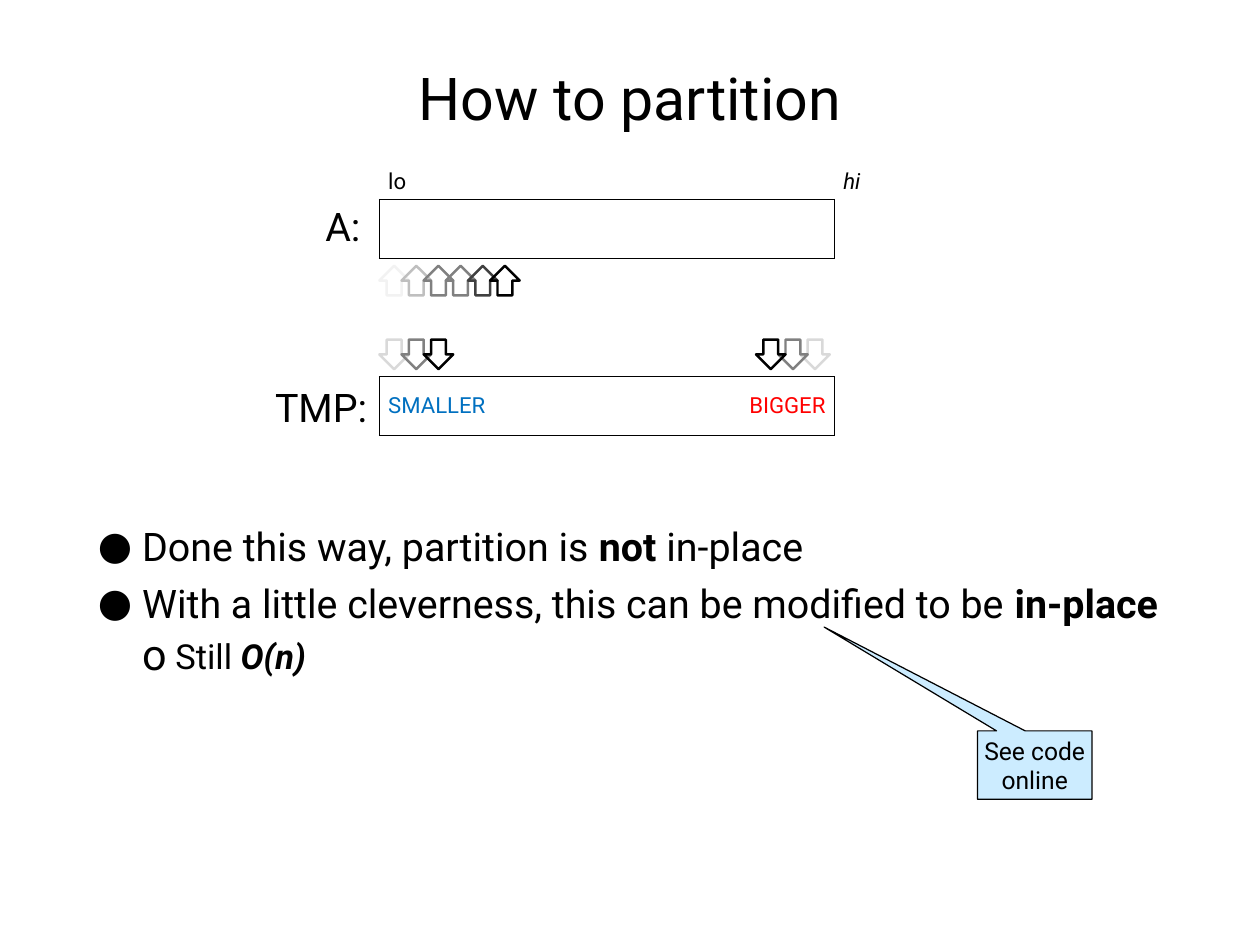
import pptx
import pptx.util
import pptx.dml.color
import pptx.enum.shapes
import pptx.enum.text
import pptx.oxml.ns
import lxml.etree

PX = 9525  # EMU in one px, 96 px to the inch
COLORS = {"black": "000000", "dark": "404040", "mid": "808080", "silver": "BFBFBF",
          "light": "D9D9D9", "pale": "F2F2F2", "blue": "0070C0", "red": "FF0000",
          "callout": "CCECFF"}
SHAPES = pptx.enum.shapes.MSO_SHAPE
ALIGN = pptx.enum.text.PP_ALIGN
ANCHOR = pptx.enum.text.MSO_ANCHOR
AUTO = pptx.enum.text.MSO_AUTO_SIZE


def rgb(name):
    return pptx.dml.color.RGBColor.from_string(COLORS[name])


def add_span(para, text, size, color="black", bold=False, italic=False):
    span = para.add_run()
    span.text = text
    span.font.name = "Roboto"
    span.font.size = pptx.util.Pt(size)
    span.font.color.rgb = rgb(color)
    span.font.bold = bold
    span.font.italic = italic


deck = pptx.Presentation()
deck.slide_width, deck.slide_height = 1365 * PX, 1024 * PX
page = deck.slides.add_slide(deck.slide_layouts[6])

# Title, array labels and the empty body box
frames = {}
for name, text, size, align, anchor, auto, place in [
    ("title", "How to partition", 48, ALIGN.CENTER, ANCHOR.MIDDLE, AUTO.NONE, (100, 27, 1165, 157)),
    ("A", "A:", 32, ALIGN.CENTER, ANCHOR.MIDDLE, AUTO.SHAPE_TO_FIT_TEXT, (339, 214, 65, 62)),
    ("TMP", "TMP:", 32, ALIGN.RIGHT, ANCHOR.MIDDLE, AUTO.SHAPE_TO_FIT_TEXT, (274, 410, 130, 62)),
    ("body", "", 32, ALIGN.LEFT, ANCHOR.TOP, AUTO.NONE, (100, 560, 1165, 300)),
]:
    box = page.shapes.add_textbox(*[length * PX for length in place])
    frame = frames[name] = box.text_frame
    frame.word_wrap = True
    frame.auto_size = auto
    frame.vertical_anchor = anchor
    frame.margin_left = frame.margin_right = frame.margin_top = frame.margin_bottom = 6 * PX
    frame.paragraphs[0].alignment = align
    if text:
        add_span(frame.paragraphs[0], text, size)

# Body bullets: indent, hang, space before, bullet, bullet size, spans
bullets = [
    (48, 48, 0, "●", 100, [("Done this way, partition is ", 32), ("not", 32, "black", True),
                           (" in-place", 32)]),
    (48, 48, 8, "●", 100, [("With a little cleverness, this can be modified to be ", 32),
                           ("in-place", 32, "black", True)]),
    (84, 36, 7, "o", 125, [("Still ", 28), ("O(n)", 28, "black", True, True)]),
]
for index, (indent, hang, before, bullet, percent, spans) in enumerate(bullets):
    para = frames["body"].add_paragraph() if index else frames["body"].paragraphs[0]
    para.level = 1 if bullet == "o" else 0
    props = para._p.get_or_add_pPr()
    props.set("marL", str(indent * PX))
    props.set("indent", str(-hang * PX))
    for tag, key, value in [("a:buSzPct", "val", str(percent * 1000)),
                            ("a:buFont", "typeface", "Roboto"), ("a:buChar", "char", bullet)]:
        lxml.etree.SubElement(props, pptx.oxml.ns.qn(tag)).set(key, value)
    para.space_before = pptx.util.Pt(before)
    for span in spans:
        add_span(para, *span)

# Pointer arrows: top, first left, step, flipped, colours
for top, left, step, flipped, shades in [
    (368, 411, 24, True, ["light", "mid", "black"]),
    (368, 867, -24, True, ["light", "mid", "black"]),
    (288, 411, 24, False, ["pale", "silver", "mid", "mid", "dark", "black"]),
]:
    for index, shade in enumerate(shades):
        arrow = page.shapes.add_shape(SHAPES.UP_ARROW, (left + index * step) * PX, top * PX,
                                      32 * PX, 32 * PX)
        arrow.shadow.inherit = False
        arrow.fill.background()
        arrow.line.color.rgb = rgb(shade)
        arrow.line.width = pptx.util.Pt(2)
        if flipped:
            arrow._element.spPr.xfrm.set("flipV", "1")

# Arrays A and TMP: top, column widths, merged, texts and ruled sides by cell
arrays = [
    (168, (248, 245, 43), True,
     {(0, 0): ("lo", "black", False, ALIGN.LEFT), (0, 2): ("hi", "black", True, ALIGN.LEFT)},
     {(0, 0): "B", (0, 1): "B", (1, 0): "LRTB", (1, 1): "RTB", (1, 2): "L"}),
    (360, (256, 237, 43), False,
     {(1, 0): ("SMALLER", "blue", False, ALIGN.LEFT),
      (1, 1): ("BIGGER", "red", False, ALIGN.RIGHT)},
     {(0, 0): "B", (0, 1): "B", (1, 0): "LTB", (1, 1): "RTB", (1, 2): "L"}),
]
for top, widths, merged, texts, ruled in arrays:
    table = page.shapes.add_table(2, 3, 411 * PX, top * PX, 536 * PX, 112 * PX).table
    table.first_row = table.horz_banding = False
    for column, width in zip(table.columns, widths):
        column.width = width * PX
    for row, height in zip(table.rows, (48, 64)):
        row.height = height * PX
    if merged:
        table.cell(1, 0).merge(table.cell(1, 1))
    for spot in [(row, column) for row in range(2) for column in range(3)]:
        cell = table.cell(*spot)
        cell.vertical_anchor = ANCHOR.MIDDLE if spot[0] else ANCHOR.BOTTOM
        props = cell._tc.get_or_add_tcPr()
        for side in "LRTB":
            edge = lxml.etree.SubElement(props, pptx.oxml.ns.qn("a:ln" + side), w="12700")
            if side in ruled.get(spot, ""):
                fill = lxml.etree.SubElement(edge, pptx.oxml.ns.qn("a:solidFill"))
                lxml.etree.SubElement(fill, pptx.oxml.ns.qn("a:srgbClr"), val=COLORS["black"])
            else:
                lxml.etree.SubElement(edge, pptx.oxml.ns.qn("a:noFill"))
        cell.fill.background()
        if spot in texts:
            text, color, italic, align = texts[spot]
            para = cell.text_frame.paragraphs[0]
            para.alignment = align
            add_span(para, text, 18, color, italic=italic)

# Callout
callout = page.shapes.add_shape(SHAPES.RECTANGULAR_CALLOUT, 1059 * PX, 792 * PX, 124 * PX, 74 * PX)
callout.adjustments[0], callout.adjustments[1] = -1.84, -2.02
callout.shadow.inherit = False
callout.fill.solid()
callout.fill.fore_color.rgb = rgb("callout")
callout.line.color.rgb = rgb("black")
callout.line.width = pptx.util.Pt(1)
frame = callout.text_frame
frame.word_wrap = False
frame.auto_size = AUTO.SHAPE_TO_FIT_TEXT
frame.vertical_anchor = ANCHOR.MIDDLE
frame.margin_left = frame.margin_right = frame.margin_top = frame.margin_bottom = 5 * PX
para = frame.paragraphs[0]
para.alignment = ALIGN.CENTER
add_span(para, "See code", 20)
para.add_line_break()
add_span(para, "online", 20)

deck.save("out.pptx")
